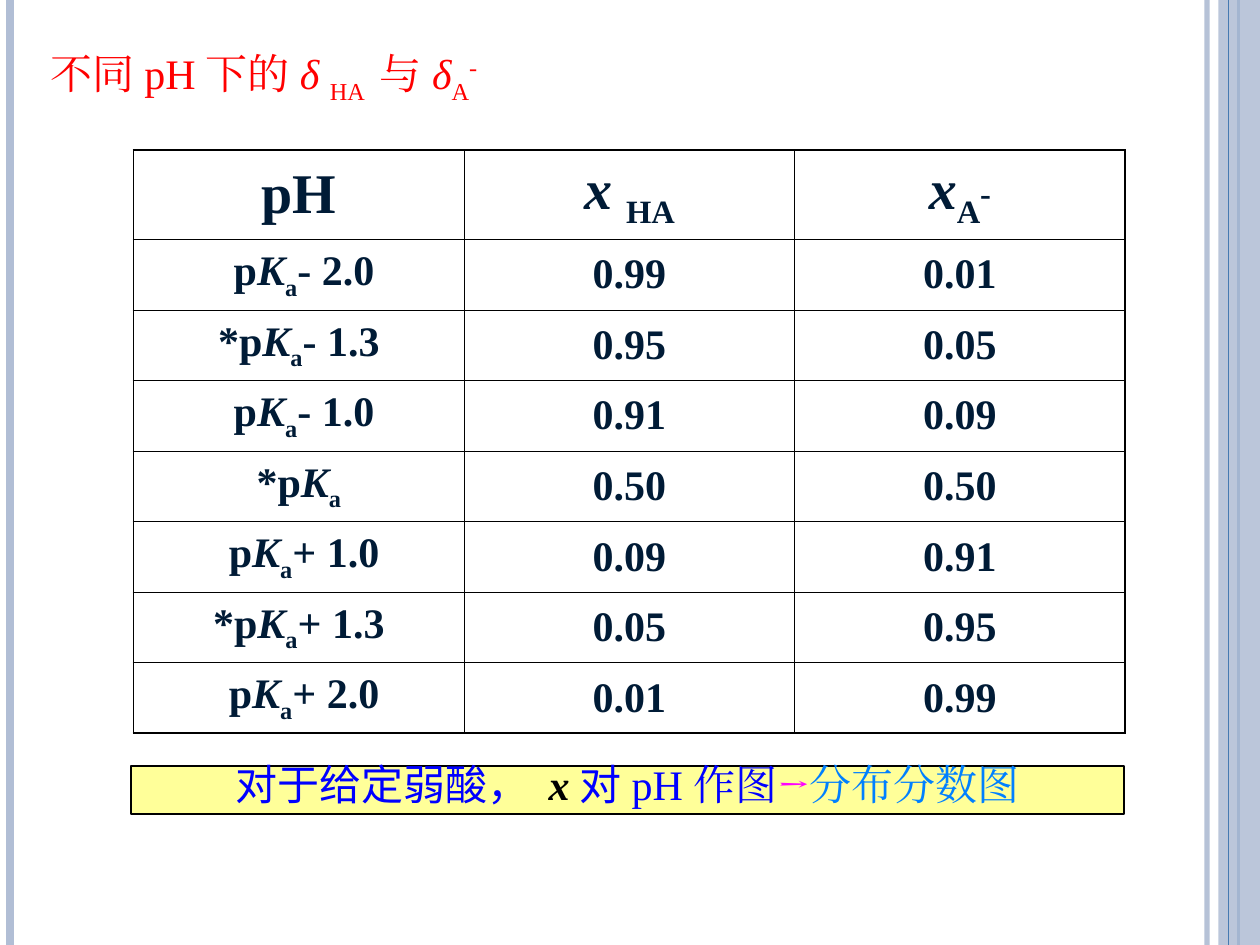
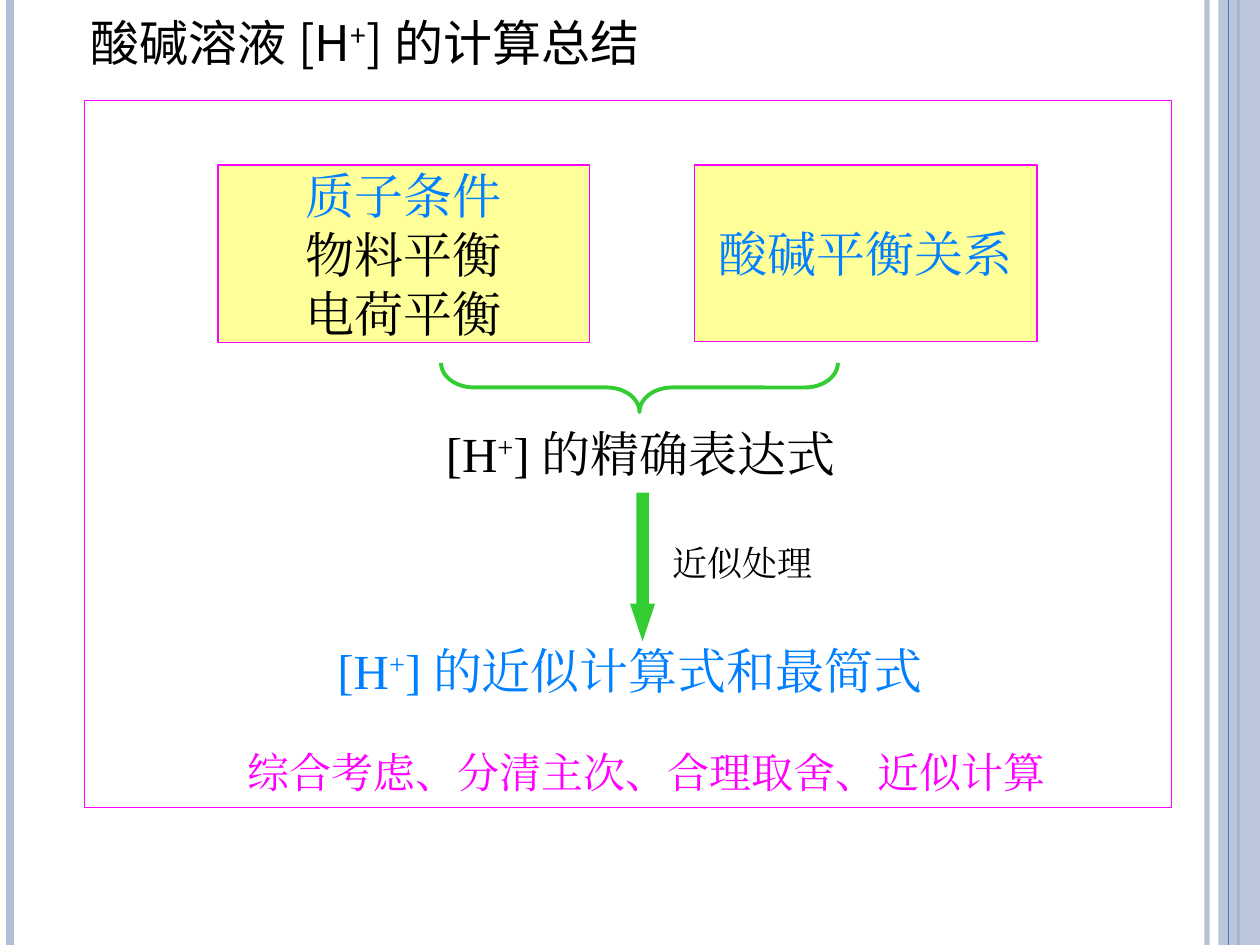
from dataclasses import dataclass

import pptx
import pptx.dml.color
import pptx.enum.dml
import pptx.enum.shapes
import pptx.enum.text
import pptx.oxml
import pptx.oxml.ns
import pptx.util
from lxml import etree

Inches = pptx.util.Inches
Pt = pptx.util.Pt
Shapes = pptx.enum.shapes.MSO_SHAPE
Align = pptx.enum.text.PP_ALIGN
Anchor = pptx.enum.text.MSO_ANCHOR
qn = pptx.oxml.ns.qn


@dataclass(frozen=True)
class Theme:
    red: str = "FF0000"
    blue: str = "0000FF"
    sky: str = "0080FF"
    magenta: str = "FF00FF"
    green: str = "33CC33"
    yellow: str = "FFFF99"
    black: str = "000000"
    navy: str = "001B36"
    band: str = "B1BED5"
    band_line: str = "477AB1"
    serif: str = "Times New Roman"
    sans: str = "Noto Sans CJK SC"
    book: str = "Cambria"
    header: int = 32
    large: int = 28
    body: int = 24
    label: int = 20
    thin: float = 0.45
    thick: float = 1.08
    outline: float = 0.75


THEME = Theme()
ITALIC = {"italic": True}
SUB = {"baseline": -25}
SUP = {"baseline": 30}

# Page edge: x, colour, width in points, opacity in percent
EDGE_LINES = [
    (9.58, THEME.band, 3, 93),
    (0.08, THEME.band, 4.5, 100),
    (9.83, THEME.band_line, 1.5, 100),
    (9.75, THEME.band_line, 0.75, 100),
]
EDGE_BAND = (9.67, 0, 0.33, 7.5)

# A paragraph is a list of (text, format) spans
FRACTION_TITLE = [
    ("不同pH下的", {}), ("δ ", ITALIC), ("HA ", SUB), ("与", {}),
    ("δ", ITALIC), ("A", SUB), ("-", SUP),
]
FRACTION_HEADER = [
    [("pH", {})],
    [("x ", ITALIC), ("HA", SUB)],
    [("x", ITALIC), ("A", SUB), ("-", {"baseline": 6})],
]
# Prefix, offset from pKa, x of HA, x of A-
FRACTION_ROWS = [
    (" p", "- 2.0", "0.99", "0.01"),
    ("*p", "- 1.3", "0.95", "0.05"),
    (" p", "- 1.0", "0.91", "0.09"),
    ("*p", "", "0.50", "0.50"),
    (" p", "+ 1.0", "0.09", "0.91"),
    ("*p", "+ 1.3", "0.05", "0.95"),
    (" p", "+ 2.0", "0.01", "0.99"),
]
PLOT_NOTE = [
    ("对于给定弱酸， ", {}),
    ("x", {"name": THEME.serif, "color": THEME.black, "bold": True, "italic": True}),
    ("对", {}),
    ("pH作图", {"name": THEME.serif}),
    ("→", {"name": THEME.book, "color": THEME.magenta}),
    ("分布分数图", {"name": THEME.book, "color": THEME.sky}),
]


def proton(before, after):
    return [(before + "[H", {}), ("+", SUP), ("]" + after, {})]


SUMMARY_TITLE = proton("酸碱溶液", "的计算总结")
CONDITIONS = [
    [("质子条件", {"color": THEME.sky})],
    [("物料平衡", {})],
    [("电荷平衡", {})],
]
RELATION = [[("酸碱平衡关系", {"color": THEME.sky})]]
# Place, paragraph, base format, layout of the text
SUMMARY_LABELS = [
    ((3.44, 3.36, 3.83, 0.47), proton("", "的精确表达式"),
     {"name": THEME.serif, "size": THEME.large, "color": THEME.black}, {}),
    ((5.24, 4.3, 1.31, 0.33), [("近似处理", {})],
     {"name": THEME.book, "size": THEME.label, "color": THEME.black}, {"wrap": False}),
    ((2.58, 5.08, 7.03, 0.47), proton("", "的近似计算式和最简式"),
     {"name": THEME.serif, "size": THEME.large, "color": THEME.sky}, {}),
    ((0.78, 5.86, 8.5, 0.53), [("综合考虑、分清主次、合理取舍、近似计算", {})],
     {"name": THEME.book, "size": THEME.body, "color": THEME.magenta},
     {"align": Align.CENTER, "anchor": Anchor.MIDDLE, "margin": 0.05, "indent": 0.2}),
]


def rgb(color):
    return pptx.dml.color.RGBColor.from_string(color)


def inches(*lengths):
    return [Inches(length) for length in lengths]


def set_opacity(element, percent):
    if percent < 100:
        color = next(element.iter(qn("a:srgbClr")))
        etree.SubElement(color, qn("a:alpha")).set("val", str(percent * 1000))


def add_spans(para, spans, base):
    for text, extra in spans:
        span = para.add_run()
        span.text = text
        style = {"bold": False, "italic": False, **base, **extra}
        baseline = style.pop("baseline", 0)
        span.font.color.rgb = rgb(style.pop("color"))
        style["size"] = Pt(style["size"])
        for key, value in style.items():
            setattr(span.font, key, value)
        properties = span._r.get_or_add_rPr()
        etree.SubElement(properties, qn("a:ea")).set("typeface", style["name"])
        if baseline:
            properties.set("baseline", str(baseline * 1000))


def write(frame, paragraphs, base, align=Align.LEFT, anchor=Anchor.TOP,
          margin=0, wrap=True, indent=0, spacing=None):
    settings = {
        "word_wrap": wrap, "vertical_anchor": anchor,
        "auto_size": pptx.enum.text.MSO_AUTO_SIZE.NONE,
        "margin_left": Inches(0.1), "margin_right": Inches(0.1),
        "margin_top": Inches(margin), "margin_bottom": Inches(margin),
    }
    for key, value in settings.items():
        setattr(frame, key, value)
    for number, spans in enumerate(paragraphs):
        para = frame.add_paragraph() if number else frame.paragraphs[0]
        para.alignment = align
        para.line_spacing = spacing
        if indent:
            para._p.get_or_add_pPr().set("marL", str(Inches(indent)))
        add_spans(para, spans, base)


def add_box(page, kind, place, fill=None, line=None, width=THEME.outline):
    box = page.shapes.add_shape(kind, *inches(*place))
    box.shadow.inherit = False
    if fill:
        box.fill.solid()
        box.fill.fore_color.rgb = rgb(fill)
    else:
        box.fill.background()
    if line:
        box.line.color.rgb = rgb(line)
        box.line.width = Pt(width)
    else:
        box.line.fill.background()
    return box


def add_edge(page, layout):
    """Draw the page edge and move it to the layout that all slides share."""
    band = add_box(page, Shapes.RECTANGLE, EDGE_BAND, THEME.band)
    set_opacity(band.element.spPr, 87)
    parts = [band]
    for x, color, width, opacity in EDGE_LINES:
        line = page.shapes.add_connector(
            pptx.enum.shapes.MSO_CONNECTOR.STRAIGHT, *inches(x, 0, x, 7.5))
        line.line.color.rgb = rgb(color)
        line.line.width = Pt(width)
        set_opacity(line.element.spPr, opacity)
        etree.SubElement(line.element.spPr, qn("a:effectLst"))
        parts.append(line)
    parts.insert(3, parts.pop(0))
    for part in parts:
        layout.shapes.element.append(part.element)


def set_title(page, place, spans, base, **text_layout):
    title = page.shapes.title
    title.left, title.top, title.width, title.height = inches(*place)
    write(title.text_frame, [spans], base, **text_layout)


def set_borders(cell, widths):
    for side, width in widths.items():
        cell._tc.get_or_add_tcPr().append(pptx.oxml.parse_xml(
            f'<a:{side} xmlns:a="http://schemas.openxmlformats.org/drawingml/2006/main"'
            f' w="{Pt(width)}"><a:solidFill><a:srgbClr val="{THEME.black}"/>'
            f'</a:solidFill></a:{side}>'))


def add_fraction_table(page):
    rows = [FRACTION_HEADER] + [
        [[(prefix, {}), ("K", ITALIC), ("a", SUB)] + ([(offset, {})] if offset else []),
         [(acid, {})], [(base, {})]]
        for prefix, offset, acid, base in FRACTION_ROWS
    ]
    last_row, last_column = len(rows) - 1, len(FRACTION_HEADER) - 1
    heights = [0.71] + [0.56] * last_row
    table = page.shapes.add_table(
        len(rows), last_column + 1, *inches(1.06, 1.19, 7.87, sum(heights))).table
    table.first_row = table.horz_banding = False
    for r, row in enumerate(rows):
        table.rows[r].height = Inches(heights[r])
        for c, spans in enumerate(row):
            cell = table.cell(r, c)
            outer = {"lnL": c == 0, "lnR": c == last_column,
                     "lnT": r == 0, "lnB": r == last_row}
            set_borders(cell, {side: THEME.thick if edge else THEME.thin
                               for side, edge in outer.items()})
            cell.fill.background()
            cell.vertical_anchor = Anchor.MIDDLE
            cell.margin_left = cell.margin_right = Inches(0.1)
            cell.margin_top = cell.margin_bottom = Inches(0.05)
            para = cell.text_frame.paragraphs[0]
            para.alignment = Align.CENTER
            size = THEME.body if r else THEME.header
            add_spans(para, spans, {"name": THEME.serif, "size": size,
                                    "color": THEME.navy, "bold": True})


def build_fractions(page):
    set_title(page, (0, 0.31, 5.85, 0.59), FRACTION_TITLE,
              {"name": THEME.serif, "size": THEME.body, "color": THEME.red},
              anchor=Anchor.MIDDLE, margin=0.05, indent=0.3)
    note = add_box(page, Shapes.RECTANGLE, (1.04, 6.08, 7.88, 0.38),
                   THEME.yellow, THEME.black, 1)
    write(note.text_frame, [PLOT_NOTE],
          {"name": THEME.sans, "size": THEME.body, "color": THEME.blue},
          align=Align.CENTER, margin=0.05, spacing=0.7)
    add_fraction_table(page)


def build_summary(page):
    set_title(page, (0.62, 0.1, 4.58, 0.93), SUMMARY_TITLE,
              {"name": THEME.sans, "size": THEME.large, "color": THEME.black})
    add_box(page, Shapes.RECTANGLE, (0.67, 0.8, 8.63, 5.61), line=THEME.magenta)
    for place, paragraphs in [((1.73, 1.31, 2.95, 1.41), CONDITIONS),
                              ((5.51, 1.31, 2.72, 1.4), RELATION)]:
        box = add_box(page, Shapes.RECTANGLE, place, THEME.yellow, THEME.magenta)
        write(box.text_frame, paragraphs,
              {"name": THEME.book, "size": THEME.large, "color": THEME.black},
              align=Align.CENTER, anchor=Anchor.MIDDLE)
    brace = add_box(page, Shapes.RIGHT_BRACE, (4.88, 1.5, 0.39, 3.15),
                    line=THEME.green, width=2.25)
    brace.rotation = 90
    brace.adjustments[0] = 0.67
    arrow = add_box(page, Shapes.DOWN_ARROW, (5, 3.91, 0.2, 1.18), THEME.green)
    arrow.adjustments[1] = 1.5
    for place, spans, base, text_layout in SUMMARY_LABELS:
        label = page.shapes.add_textbox(*inches(*place))
        write(label.text_frame, [spans], base, **text_layout)


def main():
    deck = pptx.Presentation()
    deck.slide_width, deck.slide_height = inches(10, 7.5)
    layout = deck.slide_layouts[5]
    pages = [deck.slides.add_slide(layout) for _ in range(2)]
    add_edge(pages[0], layout)
    build_fractions(pages[0])
    build_summary(pages[1])
    deck.save("out.pptx")


if __name__ == "__main__":
    main()
